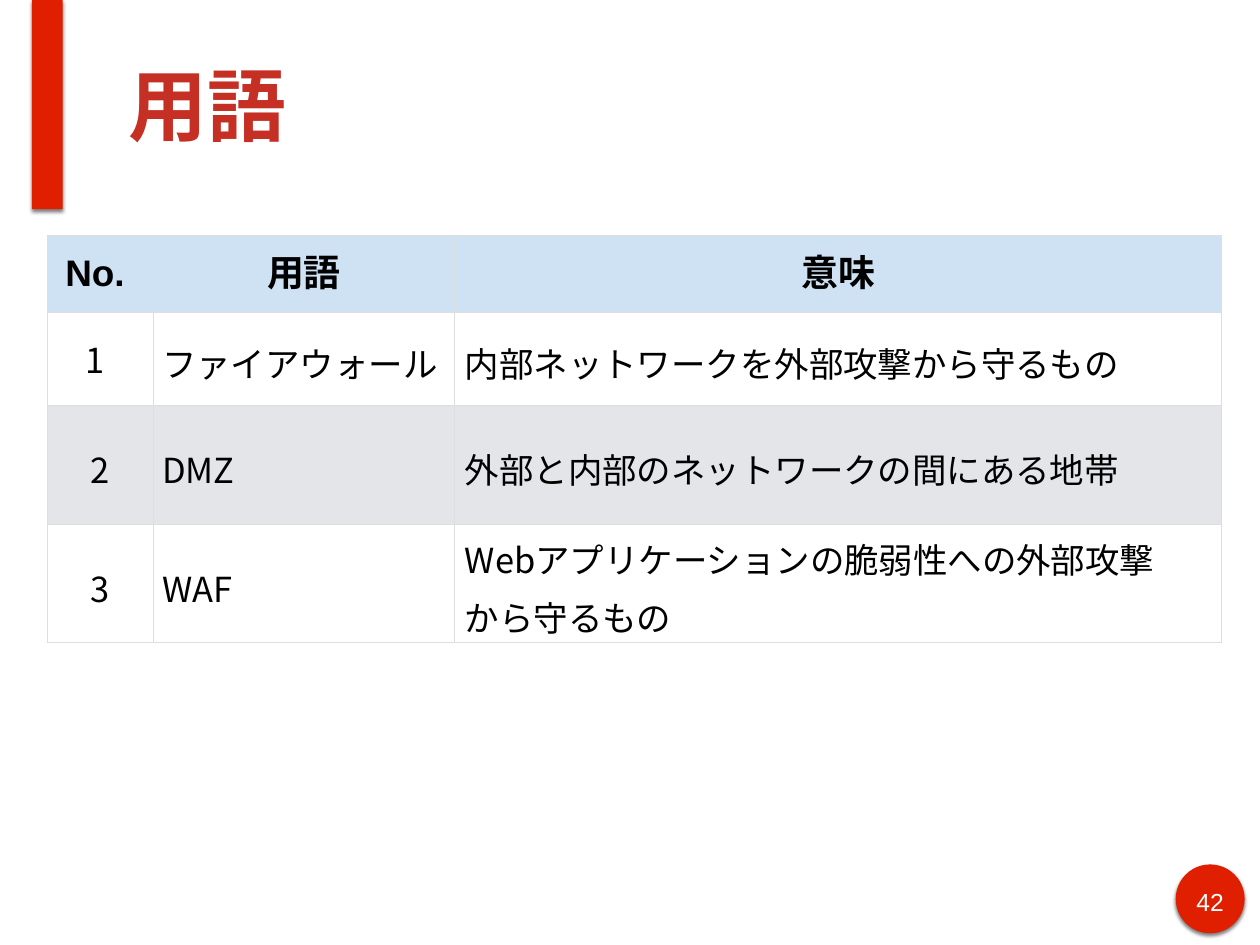
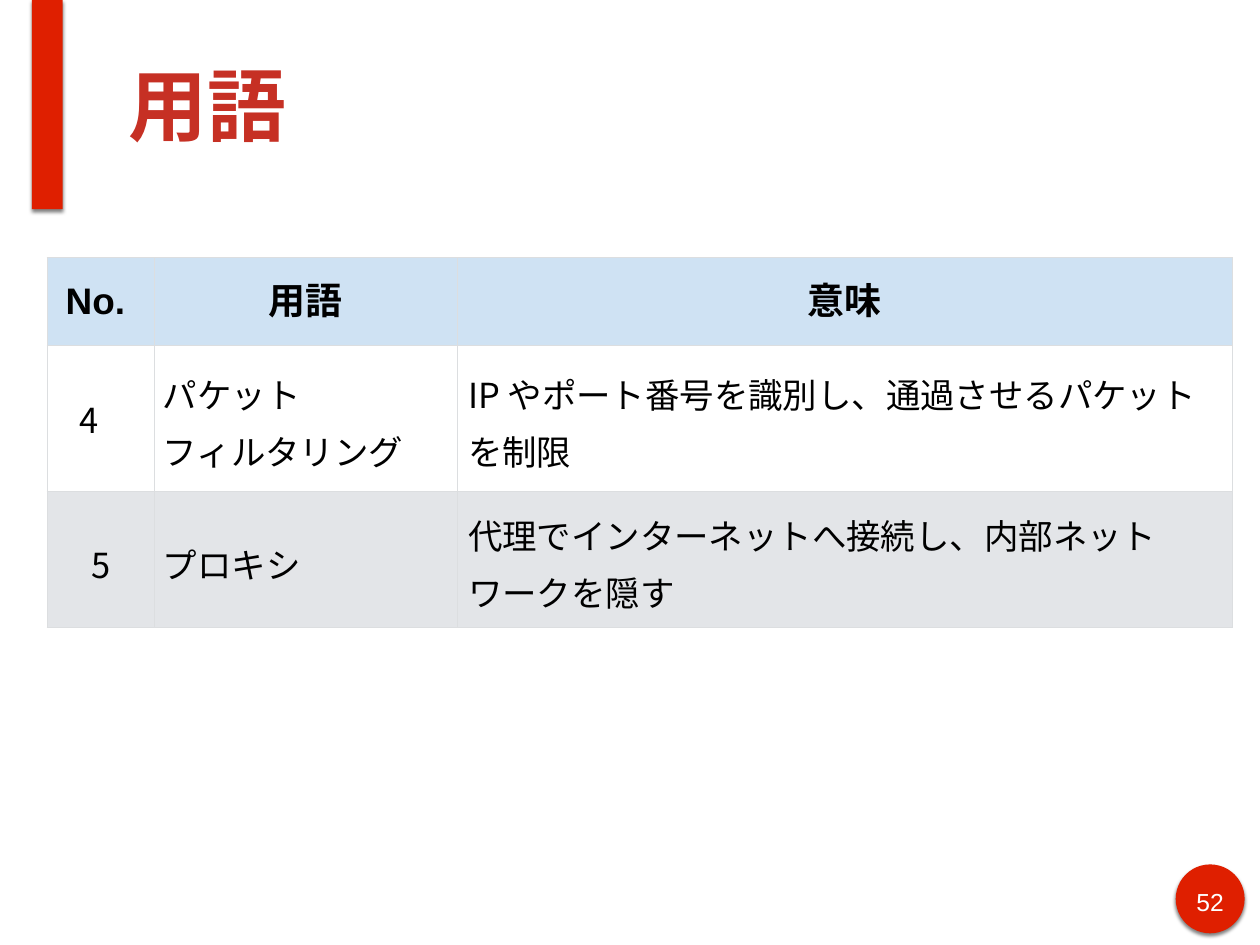
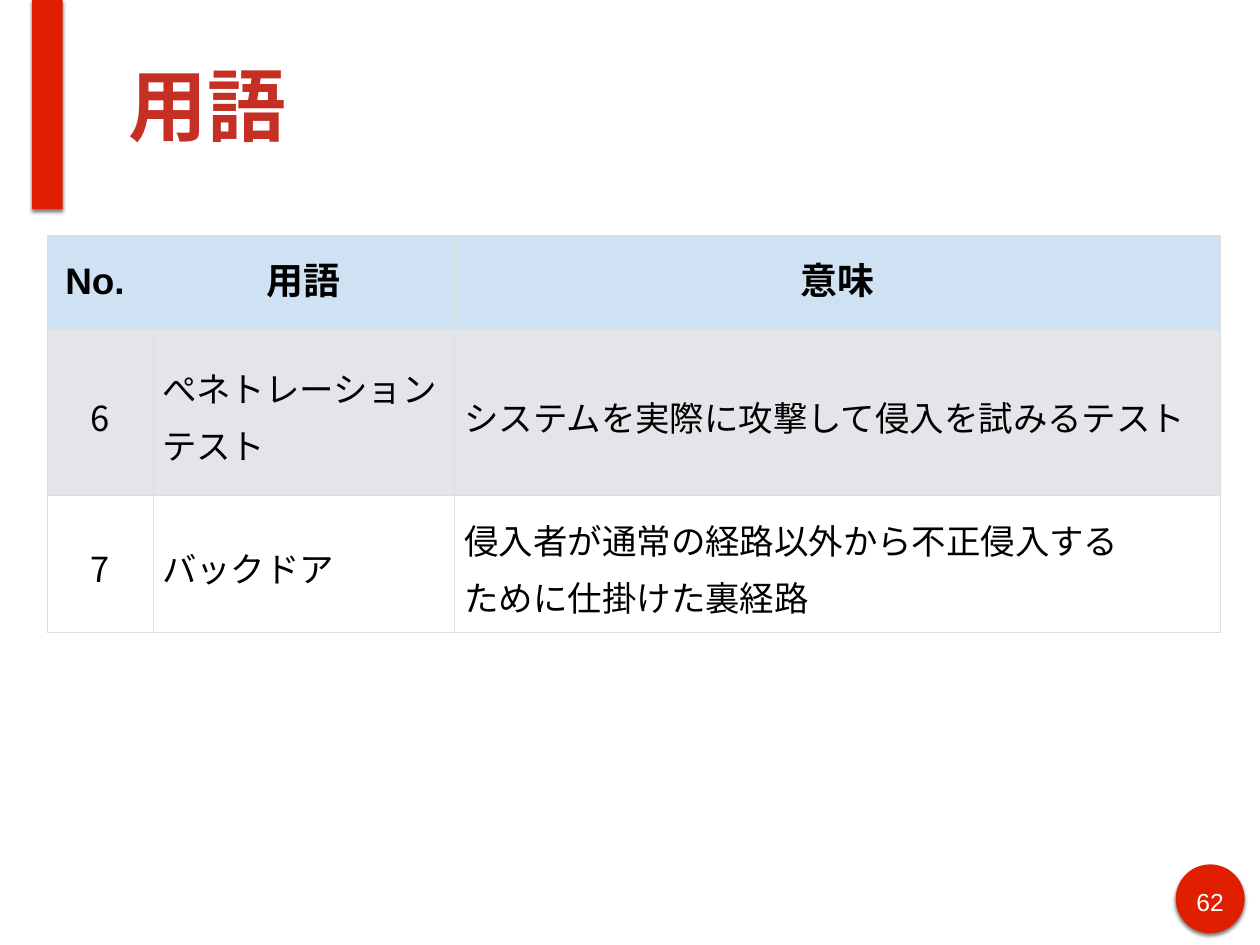
from lxml import etree
from pptx import Presentation
from pptx.dml.color import RGBColor
from pptx.enum.lang import MSO_LANGUAGE_ID
from pptx.enum.shapes import MSO_SHAPE
from pptx.enum.text import MSO_ANCHOR, MSO_AUTO_SIZE, PP_ALIGN
from pptx.oxml.ns import qn
from pptx.util import Pt

RECT, OVAL = MSO_SHAPE.RECTANGLE, MSO_SHAPE.OVAL
MIDDLE, TOP = MSO_ANCHOR.MIDDLE, MSO_ANCHOR.TOP
LEFT, CENTER = PP_ALIGN.LEFT, PP_ALIGN.CENTER
NO_FIT = MSO_AUTO_SIZE.NONE
JAPANESE = MSO_LANGUAGE_ID.JAPANESE

COLORS = {
    "accent": "DF1F00", "title": "C63024", "text": "000000", "white": "FFFFFF",
    "header": "CFE2F3", "stripe": "E3E5E8", "border": "DCDEE0",
}
HEAD_FONT, BODY_FONT = "Arial", "Noto Sans CJK JP"
TITLE_ONLY = 5
INSET = 4.5
HEADERS = ("No. ", "用語", "意味")

SLIDES = [
    {
        "page": "42", "box": (38.2, 191.2), "cols": (86.4, 244.8, 623.5),
        "heights": (62.8, 75.4, 97.2, 91.4), "first_striped": False, "first_indent": 31.5,
        "terms": [
            ("1", "ファイアウォール", "内部ネットワークを外部攻撃から守るもの"),
            ("2", "DMZ", "外部と内部のネットワークの間にある地帯"),
            ("3", "WAF", "Webアプリケーションの脆弱性への外部攻撃\nから守るもの"),
        ],
    },
    {
        "page": "52", "box": (38.2, 209.2), "cols": (87, 246.8, 629.2),
        "heights": (71.5, 118.8, 110.5), "first_striped": False, "first_indent": 26.1,
        "terms": [
            ("4", "パケット\vフィルタリング",
             "IP やポート番号を識別し、通過させるパケット\vを制限"),
            ("5", "プロキシ",
             "代理でインターネットへ接続し、内部ネット\vワークを隠す"),
        ],
    },
    {
        "page": "62", "box": (38.2, 191), "cols": (86.4, 244.5, 623),
        "heights": (76.5, 135.5, 111), "first_striped": True, "first_indent": None,
        "terms": [
            ("6", "ぺネトレーション\nテスト", "システムを実際に攻撃して侵入を試みるテスト"),
            ("7", "バックドア",
             "侵入者が通常の経路以外から不正侵入する\vために仕掛けた裏経路"),
        ],
    },
]


def rgb(name):
    """Return the named palette colour."""
    return RGBColor.from_string(COLORS[name])


def add_run(p, text, font, size, color, bold=False):
    """Add one formatted run to a paragraph."""
    r = p.add_run()
    r.text = text
    r.font.name, r.font.size, r.font.bold = font, Pt(size), bold
    r.font.color.rgb = rgb(color)
    r.font.language_id = JAPANESE
    latin = r.font._element.find(qn("a:latin"))
    ea = etree.Element(qn("a:ea"), typeface=font)
    latin.addnext(ea)


def write(tf, text, font, size, color, bold=False, align=LEFT, spacing=None):
    """Write text, with a paragraph per newline and a break per vertical tab."""
    for i, paragraph in enumerate(text.split("\n")):
        p = tf.add_paragraph() if i else tf.paragraphs[0]
        p.alignment = align
        if spacing:
            p.line_spacing = spacing
        for j, line in enumerate(paragraph.split("\v")):
            if j:
                p.add_line_break()
            add_run(p, line, font, size, color, bold)


def set_frame(tf, anchor):
    """Give a text frame the shared insets, wrapping and anchor."""
    tf.margin_left = tf.margin_right = tf.margin_top = tf.margin_bottom = Pt(INSET)
    tf.word_wrap, tf.auto_size, tf.vertical_anchor = True, NO_FIT, anchor


def add_accent(s, kind, x, y, w, h):
    """Add a red shape with a soft shadow below it."""
    sp = s.shapes.add_shape(kind, Pt(x), Pt(y), Pt(w), Pt(h))
    sp.shadow.inherit = False
    sp.fill.solid()
    sp.fill.fore_color.rgb = rgb("accent")
    sp.line.fill.background()
    effects = sp._element.spPr.find(qn("a:effectLst"))
    shadow = etree.SubElement(effects, qn("a:outerShdw"), blurRad=str(Pt(3)),
                              dist=str(Pt(2)), dir="5400000", rotWithShape="0")
    color = etree.SubElement(shadow, qn("a:srgbClr"), val=COLORS["text"])
    etree.SubElement(color, qn("a:alpha"), val="49000")


def add_page_badge(s, page, x, y, size):
    """Add the round page number badge."""
    add_accent(s, OVAL, x, y, size, size)
    w, h = 35.2, 28
    sp = s.shapes.add_textbox(Pt(x + (size - w) / 2), Pt(y + size / 4), Pt(w), Pt(h))
    set_frame(sp.text_frame, TOP)
    write(sp.text_frame, page, HEAD_FONT, 20, "white", align=CENTER)


def add_title(s, text, x, y, w, h):
    """Place and fill the title placeholder."""
    sp = s.shapes.title
    sp.left, sp.top, sp.width, sp.height = Pt(x), Pt(y), Pt(w), Pt(h)
    set_frame(sp.text_frame, MIDDLE)
    write(sp.text_frame, text, HEAD_FONT, 64, "title", bold=True)


def style_cell(cell, fill, margins):
    """Set the borders, fill, margins and anchor of a table cell."""
    tc_pr = cell._tc.get_or_add_tcPr()
    for side in ("L", "R", "T", "B"):
        ln = etree.SubElement(tc_pr, qn(f"a:ln{side}"), w=str(Pt(0.75)))
        solid = etree.SubElement(ln, qn("a:solidFill"))
        etree.SubElement(solid, qn("a:srgbClr"), val=COLORS["border"])
    cell.fill.solid()
    cell.fill.fore_color.rgb = rgb(fill)
    cell.vertical_anchor = MIDDLE
    left, right, vertical = margins
    cell.margin_left, cell.margin_right = Pt(left), Pt(right)
    cell.margin_top = cell.margin_bottom = Pt(vertical)


def add_term_table(s, box, cols, heights, terms, first_striped, first_indent):
    """Add a table of numbered terms and their meanings."""
    x, y = box
    frame = s.shapes.add_table(len(heights), len(cols), Pt(x), Pt(y),
                               Pt(sum(cols)), Pt(sum(heights)))
    table = frame.table
    table.first_row = table.horz_banding = False
    for column, width in zip(table.columns, cols):
        column.width = Pt(width)
    for row, height in zip(table.rows, heights):
        row.height = Pt(height)
    for cell, text in zip(table.rows[0].cells, HEADERS):
        style_cell(cell, "header", (7.2, 7.2, 7.2))
        write(cell.text_frame, text, HEAD_FONT, 30, "text", True, CENTER)
    for i, term in enumerate(terms):
        fill = "stripe" if (i % 2 == 0) == first_striped else "white"
        for j, text in enumerate(term):
            cell = table.cell(i + 1, j)
            indented = i == 0 and j == 0 and first_indent is not None
            margins = (8.5, 2.2, 1.4) if j == 2 else (7.2, 7.2, 7.2)
            if indented:
                margins = (first_indent, 7.2, 7.2)
            style_cell(cell, fill, margins)
            align = CENTER if j == 0 and not indented else LEFT
            write(cell.text_frame, text, BODY_FONT, 28, "text", align=align,
                  spacing=None if indented else 1.15)


def add_term_slide(prs, page, **table):
    """Add one glossary slide."""
    s = prs.slides.add_slide(prs.slide_layouts[TITLE_ONLY])
    add_accent(s, RECT, 26, 0, 25, 170)
    add_page_badge(s, page, 955.5, 702.5, 56)
    add_title(s, "用語", 100, 8.6, 874, 152.6)
    add_term_table(s, **table)


def main():
    """Build and save the presentation."""
    prs = Presentation()
    prs.slide_width, prs.slide_height = Pt(1024), Pt(768)
    for slide in SLIDES:
        add_term_slide(prs, **slide)
    prs.save("out.pptx")


if __name__ == "__main__":
    main()
